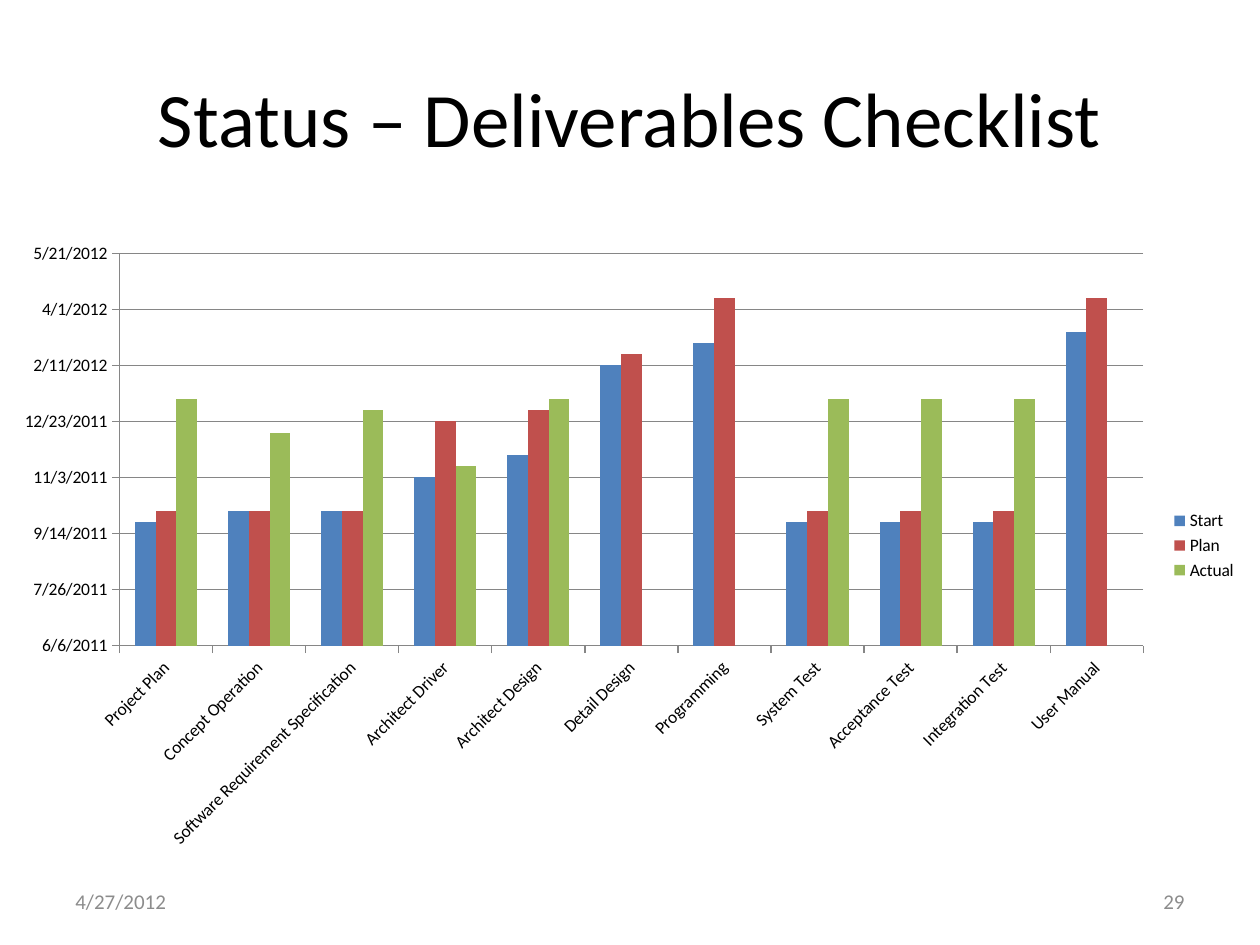
from lxml.etree import SubElement
from pptx import Presentation
from pptx.chart.data import CategoryChartData
from pptx.dml.color import RGBColor
from pptx.enum.chart import XL_CHART_TYPE as ChartType, XL_LEGEND_POSITION as LegendPosition
from pptx.enum.chart import XL_TICK_MARK as TickMark
from pptx.enum.text import MSO_ANCHOR as Anchor, PP_ALIGN as Align
from pptx.oxml.ns import qn
from pptx.util import Inches, Pt

BLACK = RGBColor(0x00, 0x00, 0x00)
GRAY = RGBColor(0x8C, 0x8C, 0x8C)
AXIS_GRAY = RGBColor(0x86, 0x86, 0x86)
BLUE = RGBColor(0x4F, 0x81, 0xBD)
RED = RGBColor(0xC0, 0x50, 0x4D)
GREEN = RGBColor(0x9B, 0xBB, 0x59)

DATE_FORMAT = "m/d/yyyy"
DELIVERABLES = [
    "Project Plan", "Concept Operation", "Software Requirement Specification",
    "Architect Driver", "Architect Design", "Detail Design", "Programming",
    "System Test", "Acceptance Test", "Integration Test", "User Manual",
]
SERIES = [
    ("Start", BLUE, [40810, 40820, 40820, 40850, 40870, 40950, 40970,
                     40810, 40810, 40810, 40980]),
    ("Plan", RED, [40820, 40820, 40820, 40900, 40910, 40960, 41010,
                   40820, 40820, 40820, 41010]),
    ("Actual", GREEN, [40920, 40890, 40910, 40860, 40920, None, None,
                       40920, 40920, 40920, None]),
]
PLOT_LAYOUT = {"layoutTarget": "inner", "xMode": "edge", "yMode": "edge",
               "x": 0.0957, "y": 0.036, "w": 0.819, "h": 0.623}


def set_font(font, size, color):
    """Format a font in the slide's typeface."""
    for name, value in {"name": "Calibri", "size": Pt(size)}.items():
        setattr(font, name, value)
    font.color.rgb = color


def place(shape, box):
    """Move a shape to a box given as left, top, width and height in inches."""
    for name, value in zip(("left", "top", "width", "height"), box):
        setattr(shape, name, Inches(value))


def add_title(slide, box, text):
    """Fill and format the title placeholder."""
    title = slide.shapes.title
    place(title, box)
    frame = title.text_frame
    frame.text = text
    frame.vertical_anchor = Anchor.MIDDLE
    paragraph = frame.paragraphs[0]
    paragraph.alignment = Align.CENTER
    set_font(paragraph.runs[0].font, 44, BLACK)


def add_footer_text(slide, box, text, alignment):
    """Add one gray footer entry."""
    shape = slide.shapes.add_textbox(*map(Inches, box))
    frame = shape.text_frame
    for name, value in {"text": text, "word_wrap": True,
                        "vertical_anchor": Anchor.MIDDLE}.items():
        setattr(frame, name, value)
    paragraph = frame.paragraphs[0]
    paragraph.alignment = alignment
    set_font(paragraph.runs[0].font, 12, GRAY)


def format_axes(chart):
    """Set the date scale, gridlines and slanted category labels."""
    category_axis, value_axis = chart.category_axis, chart.value_axis
    scale = {"minimum_scale": 40700, "maximum_scale": 41050, "major_unit": 50,
             "has_major_gridlines": True}
    for name, value in scale.items():
        setattr(value_axis, name, value)
    value_axis.major_gridlines.format.line.color.rgb = AXIS_GRAY
    for axis in (category_axis, value_axis):
        axis.major_tick_mark = TickMark.OUTSIDE
        axis.minor_tick_mark = TickMark.NONE
        axis.format.line.color.rgb = AXIS_GRAY
        set_font(axis.tick_labels.font, 10, BLACK)
    labels = value_axis.tick_labels
    labels.number_format = DATE_FORMAT
    labels.number_format_is_linked = False
    category_axis._element.find(qn("c:txPr")).find(qn("a:bodyPr")).set("rot", "-2700000")


def set_plot_layout(chart):
    """Fix the inner plot area within the chart."""
    plot_area = chart._chartSpace.chart.plotArea
    layout = plot_area.find(qn("c:layout"))
    if layout is None:
        layout = SubElement(plot_area, qn("c:layout"))
        plot_area.insert(0, layout)
    manual = SubElement(layout, qn("c:manualLayout"))
    for name, value in PLOT_LAYOUT.items():
        SubElement(manual, qn(f"c:{name}")).set("val", str(value))


def add_status_chart(slide, box):
    """Add the clustered columns of start, plan and actual dates."""
    data = CategoryChartData(number_format=DATE_FORMAT)
    data.categories = DELIVERABLES
    for name, _, dates in SERIES:
        data.add_series(name, dates)
    chart = slide.shapes.add_chart(
        ChartType.COLUMN_CLUSTERED, *map(Inches, box), data).chart
    set_font(chart.font, 10, BLACK)
    chart.has_title = False
    chart.has_legend = True
    chart.legend.position = LegendPosition.RIGHT
    chart.legend.include_in_layout = False
    set_font(chart.legend.font, 10, BLACK)
    plot = chart.plots[0]
    for name, value in {"gap_width": 150, "overlap": 0,
                        "vary_by_categories": False}.items():
        setattr(plot, name, value)
    for series, (_, color, _) in zip(plot.series, SERIES):
        series.format.fill.solid()
        series.format.fill.fore_color.rgb = color
    format_axes(chart)
    set_plot_layout(chart)


def main():
    """Build and save the deliverables slide."""
    presentation = Presentation()
    presentation.slide_width, presentation.slide_height = Inches(10), Inches(7.5)
    slide = presentation.slides.add_slide(presentation.slide_layouts[5])
    add_title(slide, (0.5, 0.3, 9, 1.25), "Status – Deliverables Checklist")
    add_footer_text(slide, (0.5, 6.95, 2.33, 0.4), "4/27/2012", Align.LEFT)
    add_footer_text(slide, (7.17, 6.95, 2.33, 0.4), "29", Align.RIGHT)
    add_status_chart(slide, (0, 1.83, 9.92, 5))
    presentation.save("out.pptx")


if __name__ == "__main__":
    main()
